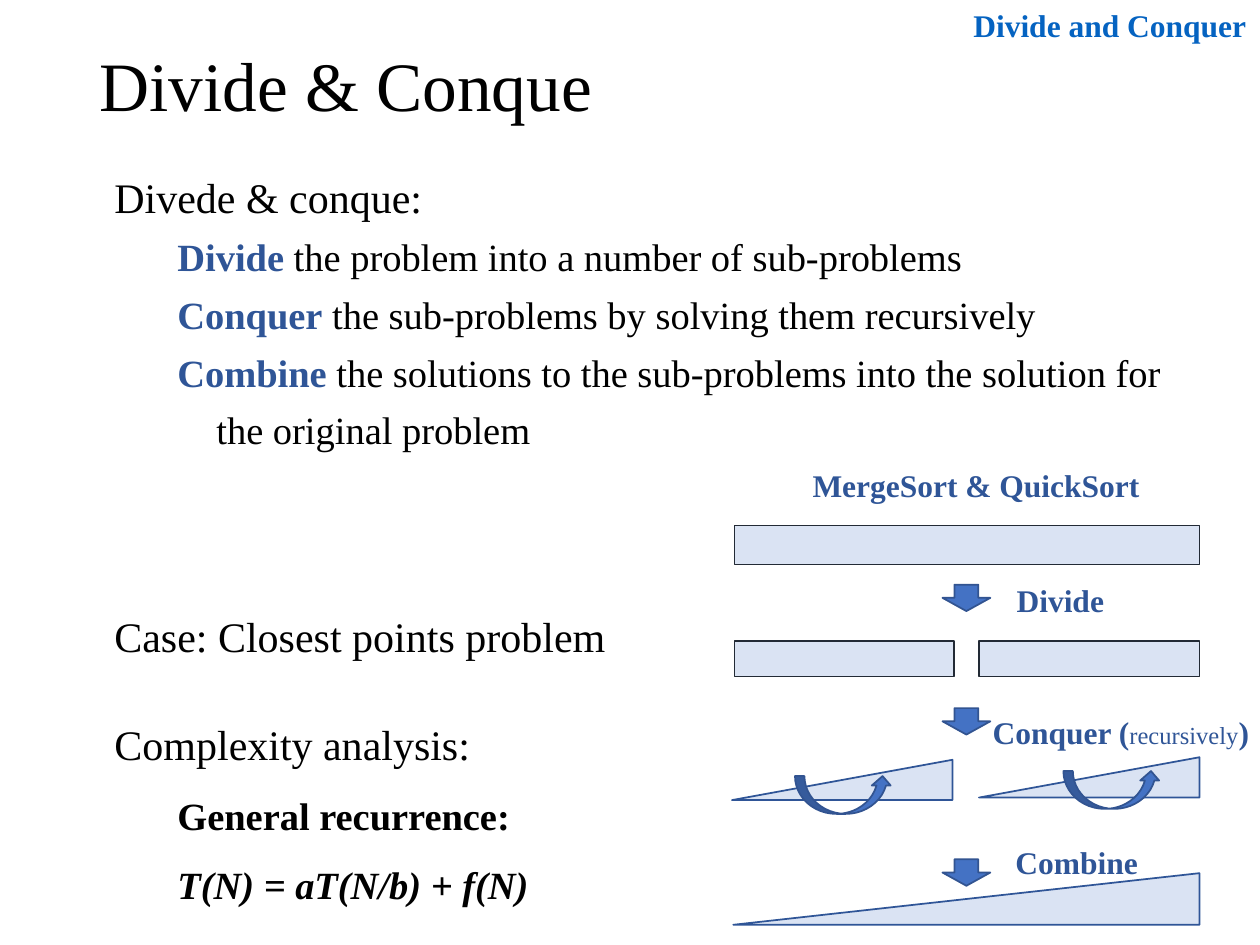
from pptx import Presentation
from pptx.dml.color import RGBColor
from pptx.enum.shapes import MSO_SHAPE
from pptx.enum.text import MSO_ANCHOR, MSO_AUTO_SIZE, PP_ALIGN
from pptx.util import Pt

PX = 9144
BLACK, NAVY, LINK = "000000", "2F5597", "0563C1"
PALE, BLUE, EDGE, DARK = "DAE3F3", "4472C4", "325491", "222A35"


def rgb(color):
    return RGBColor.from_string(color)


def write(tf, paras, spacing, align=PP_ALIGN.LEFT, hang=(0, 0)):
    for i, (level, runs) in enumerate(paras):
        p = tf.paragraphs[0] if i == 0 else tf.add_paragraph()
        for name, value in dict(level=level, alignment=align, line_spacing=spacing, space_before=Pt(0)).items():
            setattr(p, name, value)
        if level:
            pPr = p._p.get_or_add_pPr()
            pPr.set("marL", str(hang[0] * PX))
            pPr.set("indent", str(hang[1] * PX))
        for text, size, color, style in runs:
            r = p.add_run()
            r.text = text
            font = dict(name="Times New Roman", size=Pt(size), bold="b" in style, italic="i" in style)
            for name, value in font.items():
                setattr(r.font, name, value)
            r.font.color.rgb = rgb(color)


prs = Presentation()
prs.slide_width, prs.slide_height = 1000 * PX, 750 * PX
s = prs.slides.add_slide(prs.slide_layouts[5])

title = s.shapes.title
for name, value in dict(left=69, top=40, width=862, height=66).items():
    setattr(title, name, value * PX)
tf = title.text_frame
for name, value in dict(auto_size=MSO_AUTO_SIZE.NONE, vertical_anchor=MSO_ANCHOR.MIDDLE, word_wrap=True).items():
    setattr(tf, name, value)
write(tf, [(0, [("Divide & Conque", 39.6, BLACK, "")])], 0.8)

steps = [
    ("Divide", " the problem into a number of sub-problems"),
    ("Conquer", " the sub-problems by solving them recursively"),
    ("Combine", " the solutions to the sub-problems into the solution for the original problem"),
]
intro = [(0, [("Divede & conque:", 24, BLACK, "")])]
intro += [(1, [(verb, 22, NAVY, "b"), (rest, 22, BLACK, "")]) for verb, rest in steps]
case = [(0, [("Case: Closest points problem", 24, BLACK, "")])]
analysis = [
    (0, [("Complexity analysis:", 24, BLACK, "")]),
    (1, [("General recurrence:", 22, BLACK, "b")]),
    (1, [("T(N) = aT(N/b) + f(N)", 22, BLACK, "bi")]),
]
header = [(0, [("Divide and Conquer", 18, LINK, "b")])]

for box, paras, spacing, align, hang in [
    ((81, 121, 863, 241), intro, 1.25, PP_ALIGN.LEFT, (81, -31)),
    ((81, 460, 500, 63), case, 1.5, PP_ALIGN.LEFT, (0, 0)),
    ((81, 545, 401, 182), analysis, 1.5, PP_ALIGN.LEFT, (50, 0)),
    ((708, 0, 291, 40), header, 1.0, PP_ALIGN.RIGHT, (0, 0)),
]:
    tf = s.shapes.add_textbox(*[v * PX for v in box]).text_frame
    tf.word_wrap = True
    write(tf, paras, spacing, align, hang)

bars = [(583, 417, 369, 31), (583, 509, 174, 28), (777, 509, 175, 28)]
wedges = [(581, 603, 175, 32), (777, 601, 175, 32), (582, 693, 370, 41)]
arrows = [(748, top, 38, 21) for top in (464, 562, 682)]
loops = [(631, 616, 77, 30), (844, 612, 77, 30)]

for kind, boxes, fill, line in [
    (MSO_SHAPE.RECTANGLE, bars, PALE, DARK),
    (MSO_SHAPE.RIGHT_TRIANGLE, wedges, PALE, NAVY),
    (MSO_SHAPE.DOWN_ARROW, arrows, BLUE, EDGE),
    (MSO_SHAPE.CURVED_UP_ARROW, loops, BLUE, EDGE),
]:
    for box in boxes:
        sp = s.shapes.add_shape(kind, *[v * PX for v in box])
        sp.shadow.inherit = False
        sp.fill.solid()
        sp.fill.fore_color.rgb = rgb(fill)
        sp.line.color.rgb = rgb(line)
        sp.line.width = Pt(1)
        if kind == MSO_SHAPE.RIGHT_TRIANGLE:
            sp._element.spPr.xfrm.set("flipH", "1")

for box, runs in [
    ((635, 365, 282, 40), [("MergeSort & QuickSort", 18, NAVY, "b")]),
    ((797, 456, 90, 40), [("Divide", 18, NAVY, "b")]),
    ((778, 561, 226, 40), [("Conquer (", 18, NAVY, "b"), ("recursively", 14, NAVY, ""), (")", 18, NAVY, "b")]),
    ((796, 664, 118, 40), [("Combine", 18, NAVY, "b")]),
]:
    tf = s.shapes.add_textbox(*[v * PX for v in box]).text_frame
    tf.word_wrap = False
    write(tf, [(0, runs)], 1.0)

prs.save("out.pptx")
